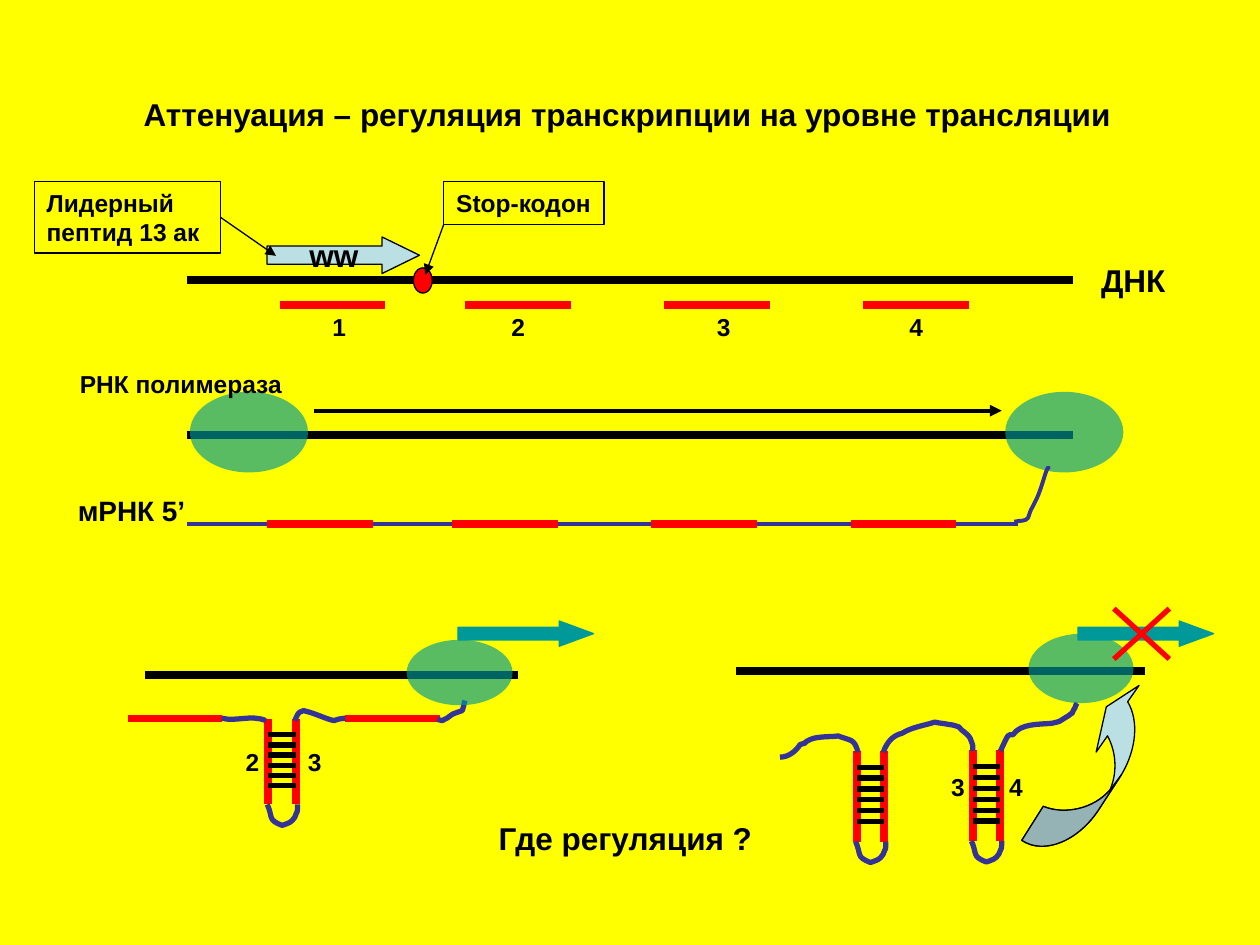
from typing import NamedTuple, Optional

from lxml.etree import SubElement
from pptx import Presentation
from pptx.dml.color import RGBColor
from pptx.enum.shapes import MSO_CONNECTOR, MSO_SHAPE
from pptx.enum.text import MSO_ANCHOR, MSO_AUTO_SIZE, PP_ALIGN
from pptx.oxml.ns import qn
from pptx.util import Pt

YELLOW = RGBColor(0xFF, 0xFF, 0x00)
BLACK = RGBColor(0x00, 0x00, 0x00)
RED = RGBColor(0xFF, 0x00, 0x00)
NAVY = RGBColor(0x33, 0x33, 0x99)
TEAL = RGBColor(0x00, 0x99, 0x99)
PALE_BLUE = RGBColor(0xBB, 0xE0, 0xE3)


class Label(NamedTuple):
    text: str
    left: float
    top: float
    width: float
    height: float = 24.5
    size: float = 14


class Hairpin(NamedTuple):
    left: float
    top: float
    height: float


class Curve(NamedTuple):
    start: tuple
    bends: list  # cubic segments: two control points and an end; a lone point is a straight step


def write(shape, text: str, size: float, wrap: bool = False,
          align=PP_ALIGN.LEFT, anchor=MSO_ANCHOR.TOP) -> None:
    frame = shape.text_frame
    frame.word_wrap = wrap
    frame.vertical_anchor = anchor
    para = frame.paragraphs[0]
    para.alignment = align
    span = para.add_run()
    span.text = text
    span.font.name = "Arial"
    span.font.size = Pt(size)
    span.font.bold = True
    span.font.color.rgb = BLACK


def add_label(page, label: Label) -> None:
    box = page.shapes.add_textbox(Pt(label.left), Pt(label.top), Pt(label.width), Pt(label.height))
    write(box, label.text, label.size)
    box.text_frame.auto_size = MSO_AUTO_SIZE.SHAPE_TO_FIT_TEXT


def add_line(page, x1: float, y1: float, x2: float, y2: float,
             color: RGBColor = BLACK, weight: float = 4.5, arrow: bool = False):
    line = page.shapes.add_connector(MSO_CONNECTOR.STRAIGHT, Pt(x1), Pt(y1), Pt(x2), Pt(y2))
    line.line.color.rgb = color
    line.line.width = Pt(weight)
    properties = line._element.spPr
    if arrow:
        SubElement(properties.find(qn("a:ln")), qn("a:tailEnd"), type="triangle")
    SubElement(properties, qn("a:effectLst"))
    return line


def paint(shape, fill: Optional[RGBColor], outline: Optional[RGBColor], weight: float = 0.75) -> None:
    shape.shadow.inherit = False
    if fill is None:
        shape.fill.background()
    else:
        shape.fill.solid()
        shape.fill.fore_color.rgb = fill
    if outline is None:
        shape.line.fill.background()
    else:
        shape.line.color.rgb = outline
        shape.line.width = Pt(weight)


def add_shape(page, kind, left: float, top: float, width: float, height: float,
              fill: Optional[RGBColor], outline: Optional[RGBColor] = BLACK):
    shape = page.shapes.add_shape(kind, Pt(left), Pt(top), Pt(width), Pt(height))
    paint(shape, fill, outline)
    return shape


def add_polymerase(page, left: float, top: float, width: float, height: float) -> None:
    oval = add_shape(page, MSO_SHAPE.OVAL, left, top, width, height, TEAL, None)
    color = oval._element.spPr.find(qn("a:solidFill"))[0]
    SubElement(color, qn("a:alpha"), val="65000")


def trace(outline, curve: Curve, left: int, top: int, closed: bool) -> None:
    """Write the steps of a curve into an a:path element."""
    for command, numbers in [("a:moveTo", curve.start)] + [
            ("a:lnTo" if len(bend) == 2 else "a:cubicBezTo", bend) for bend in curve.bends]:
        step = SubElement(outline, qn(command))
        for x, y in zip(numbers[::2], numbers[1::2]):
            SubElement(step, qn("a:pt"), x=str(Pt(x) - left), y=str(Pt(y) - top))
    if closed:
        SubElement(outline, qn("a:close"))


def add_curve(page, curve: Curve, fill: Optional[RGBColor] = None, color: RGBColor = NAVY,
              weight: float = 3, shade: Optional[Curve] = None) -> None:
    builder = page.shapes.build_freeform(Pt(curve.start[0]), Pt(curve.start[1]))
    builder.add_line_segments([(Pt(x), Pt(y)) for bend in curve.bends
                               for x, y in zip(bend[::2], bend[1::2])], close=False)
    shape = builder.convert_to_shape()
    paint(shape, fill, color, weight)
    # Replace the straight steps by true curves
    outlines = shape._element.spPr.find(qn("a:custGeom")).find(qn("a:pathLst"))
    outline = outlines[0]
    for step in list(outline):
        outline.remove(step)
    trace(outline, curve, shape.left, shape.top, fill is not None)
    if shade:
        darker = SubElement(outlines, qn("a:path"), w=outline.get("w"), h=outline.get("h"),
                            fill="darkenLess")
        trace(darker, shade, shape.left, shape.top, True)


def add_hairpin(page, pin: Hairpin) -> None:
    gap, bottom = 15.8, pin.top + pin.height
    for x in (pin.left, pin.left + gap):
        add_line(page, x, pin.top, x, bottom, RED)
    for rung in range(6):
        y = pin.top + pin.height * (0.18 + 0.12 * rung)
        add_line(page, pin.left, y, pin.left + gap, y, weight=3)
    x = pin.left
    add_curve(page, Curve((x - 0.7, bottom), [
        (x + 2.9, bottom + 7.6, x - 0.7, bottom + 8.7, x + 7.9, bottom + 12),
        (x + 11.5, bottom + 10.6, x + 13, bottom + 10.6, x + 15.1, bottom + 7.3),
        (x + 16.6, bottom + 2.9, x + 16.6, bottom + 5.8, x + 16.6, bottom)]))


GENE_LEFTS = (159.8, 265.7, 379.4, 493.2)
GENE_WIDTH = 60.4
LABELS = [
    Label("1", 182.9, 174.6, 22.3), Label("2", 285.1, 175, 22.3),
    Label("3", 402.5, 174.6, 22.3), Label("4", 512.6, 174.6, 22.3),
    Label("ДНК", 622.1, 145.4, 51.1, 28.8, 18),
    Label("РНК полимераза", 38.5, 207.4, 130.3),
    Label("мРНК 5’", 37.4, 278.6, 77, 26.6, 16),
    Label("2", 133.2, 423.4, 22.3), Label("3", 168.8, 423.4, 22.3),
    Label("3", 536.4, 437.4, 22.3), Label("4", 569.5, 437.4, 22.3),
    Label("Где регуляция ?", 277.9, 464.4, 159.8, 28.8, 18),
]
HAIRPINS = [Hairpin(153.4, 411.1, 48.6), Hairpin(489.6, 429.1, 51.8), Hairpin(555.8, 428.8, 51.8)]
RNA_CURVES = [
    # Left structure
    Curve((126.7, 410.4), [(134.6, 412.6, 143.3, 408.2, 151.9, 411.8)]),
    Curve((168.5, 411.8), [(169.9, 409, 169.9, 406.8, 173.5, 406.1),
                           (180, 407.5, 185, 410.4, 190.8, 411.8),
                           (193, 411.1, 195.1, 410.4, 197.3, 410.4)]),
    Curve((249.8, 411.1), [(250.6, 411.1, 252, 411.8, 252.7, 411.8),
                           (254.9, 411.1, 256.3, 409.7, 258.5, 408.2),
                           (259.9, 407.5, 262.1, 406.8, 264.2, 406.1),
                           (264.2, 405.4, 265, 403.9, 265, 403.2),
                           (265, 402.5, 265.7, 400.3, 265.7, 400.3)]),
    # Right structure
    Curve((490.3, 429.8), [(488.2, 421.9, 486, 423.4, 478.8, 420.5),
                           (478.1, 421.2, 467.3, 420.5, 463, 422.6),
                           (455.8, 426.2, 464.4, 423.4, 457.2, 425.5),
                           (455, 429.1, 450.7, 432.7, 445.7, 432.7)]),
    Curve((504.7, 429.8), [(506.9, 424.1, 509.8, 420.5, 515.5, 419),
                           (521.3, 415.4, 527.8, 414.7, 534.2, 412.6),
                           (536.4, 413.3, 539.3, 413.3, 542.2, 414),
                           (544.3, 414, 547.9, 415.4, 547.9, 415.4),
                           (550.1, 418.3, 552.2, 418.3, 554.4, 421.9),
                           (556.6, 427.7, 555.8, 425.5, 555.8, 429.1)]),
    Curve((571.7, 429.1), [(572.4, 427.7, 575.3, 421.2, 576, 420.5),
                           (576.7, 419.8, 577.4, 419.8, 578.9, 419.8),
                           (583.2, 413.3, 594, 414, 601.2, 413.3),
                           (607, 411.8, 603.4, 413.3, 610.6, 409),
                           (611.3, 408.2, 612.7, 407.5, 612.7, 407.5),
                           (613.4, 406.1, 613.4, 405.4, 614.2, 404.6),
                           (614.2, 403.2, 615.6, 401.8, 615.6, 401.8)]),
]
NASCENT_RNA = Curve((579.6, 298.1), [(582.5, 297.4, 586.1, 298.1, 587.5, 295.9),
                                     (588.2, 294.5, 588.2, 293, 589, 291.6),
                                     (593.3, 283.7, 594, 281.5, 596.9, 272.2),
                                     (599.8, 262.8, 599, 270.7, 599, 266.4)])
TAIL_BEND = (596.9, 488.9, 617, 480.2, 628.6, 461.5)
TAIL_RETURN = (625, 462.2, 608.4, 465.8, 596.2, 460.8)
BENT_ARROW = Curve((583.9, 480.2), [TAIL_BEND, (640.8, 442.8), (649.4, 428.4, 650.9, 411.8, 644.4, 401),
                                    (650.9, 391.7), (632.2, 403.9), (626.4, 429.8), (632.9, 420.5),
                                    (637.9, 429.8, 638.6, 441.4, 634.3, 451.4), TAIL_RETURN])
BENT_ARROW_SHADE = Curve((583.9, 480.2), [TAIL_BEND, (640.8, 442.8), (634.3, 451.4), TAIL_RETURN])

deck = Presentation()
deck.slide_width, deck.slide_height = Pt(720), Pt(540)
page = deck.slides.add_slide(deck.slide_layouts[5])
page.background.fill.solid()
page.background.fill.fore_color.rgb = YELLOW

# Title
title = page.shapes.title
title.left, title.top, title.width, title.height = Pt(74.9), Pt(50.4), Pt(568.1), Pt(28.8)
write(title, "Аттенуация – регуляция транскрипции на уровне трансляции", 18)
title.text_frame.auto_size = MSO_AUTO_SIZE.SHAPE_TO_FIT_TEXT

# DNA with the leader peptide, stop codon and callouts
add_line(page, 106.6, 159.8, 613.4, 159.8)
peptide = add_shape(page, MSO_SHAPE.RIGHT_ARROW, 152.6, 135.4, 87.1, 20.9, PALE_BLUE)
peptide.adjustments[1] = 1.023
write(peptide, "ww", 18, align=PP_ALIGN.CENTER, anchor=MSO_ANCHOR.MIDDLE)
add_shape(page, MSO_SHAPE.OVAL, 236.2, 153.1, 10.8, 14.4, RED)
peptide_note = add_shape(page, MSO_SHAPE.RECTANGLE, 19.6, 103.7, 106.4, 41, None)
write(peptide_note, "Лидерный пептид 13 ак", 14, wrap=True)
add_line(page, 126, 124.2, 157.7, 146.2, weight=0.75, arrow=True).begin_connect(peptide_note, 3)
stop_note = add_shape(page, MSO_SHAPE.RECTANGLE, 253.6, 103.9, 91.6, 24.3, None)
write(stop_note, "Stop-кодон", 14)
add_line(page, 253.6, 128.2, 243, 157, weight=0.75, arrow=True)

# Transcription and the mRNA
add_line(page, 104.8, 213.2, 104.8, 213.2, weight=0.75)
add_line(page, 106.6, 248.4, 613.4, 248.4)
add_line(page, 106.6, 299.5, 581.8, 299.5, NAVY, 2.25)
for left in GENE_LEFTS:
    add_line(page, left, 174.2, left + GENE_WIDTH, 174.2, RED)
    add_line(page, left - 7.2, 299.5, left - 7.2 + GENE_WIDTH, 299.5, RED)
for left in (108.5, 574.4):
    add_polymerase(page, left, 223.9, 67.5, 46.1)
add_line(page, 179.3, 234.7, 572.4, 234.7, weight=2.25, arrow=True)
add_curve(page, NASCENT_RNA, weight=2.25)

# Alternative hairpin structures
for left in (72.9, 197.3):
    add_line(page, left, 410.6, left + 54.2, 410.6, RED)
for pin in HAIRPINS:
    add_hairpin(page, pin)
for curve in RNA_CURVES:
    add_curve(page, curve)
add_line(page, 82.6, 385.9, 296.1, 385.9)
add_polymerase(page, 232.4, 365.6, 60.5, 37.4)
add_line(page, 420.3, 383.6, 654.3, 383.6)
add_polymerase(page, 587.7, 362.2, 60, 39.6)

# Bent arrow, movement arrows and the cross
add_curve(page, BENT_ARROW, PALE_BLUE, BLACK, 0.75, BENT_ARROW_SHADE)
for left in (261.7, 616):
    movement = add_shape(page, MSO_SHAPE.RIGHT_ARROW, left, 354.9, 77.5, 14.4, TEAL, TEAL)
    movement.adjustments[1] = 1.361
for start, end in ((347.8, 376.6), (376.6, 347.8)):
    add_line(page, 636.5, start, 668.2, end, RED, 3)

# Labels
for label in LABELS:
    add_label(page, label)

deck.save("out.pptx")
